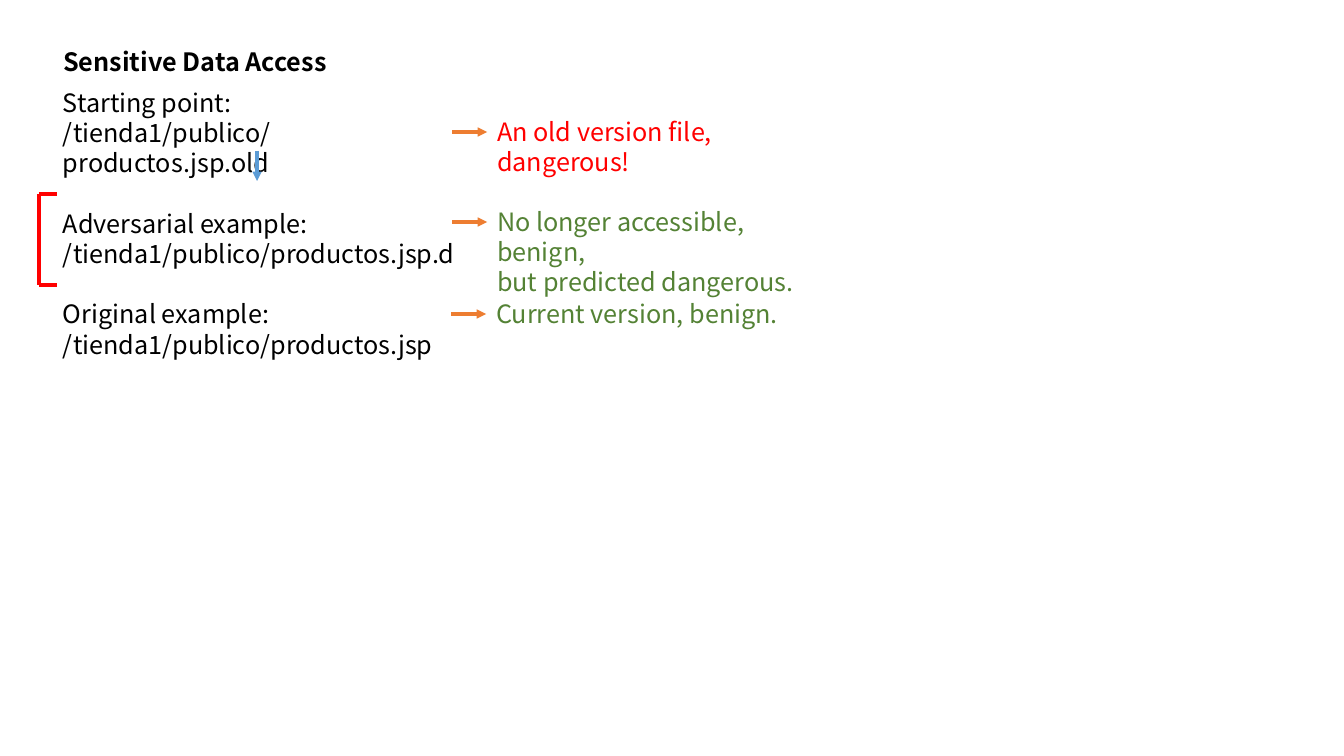
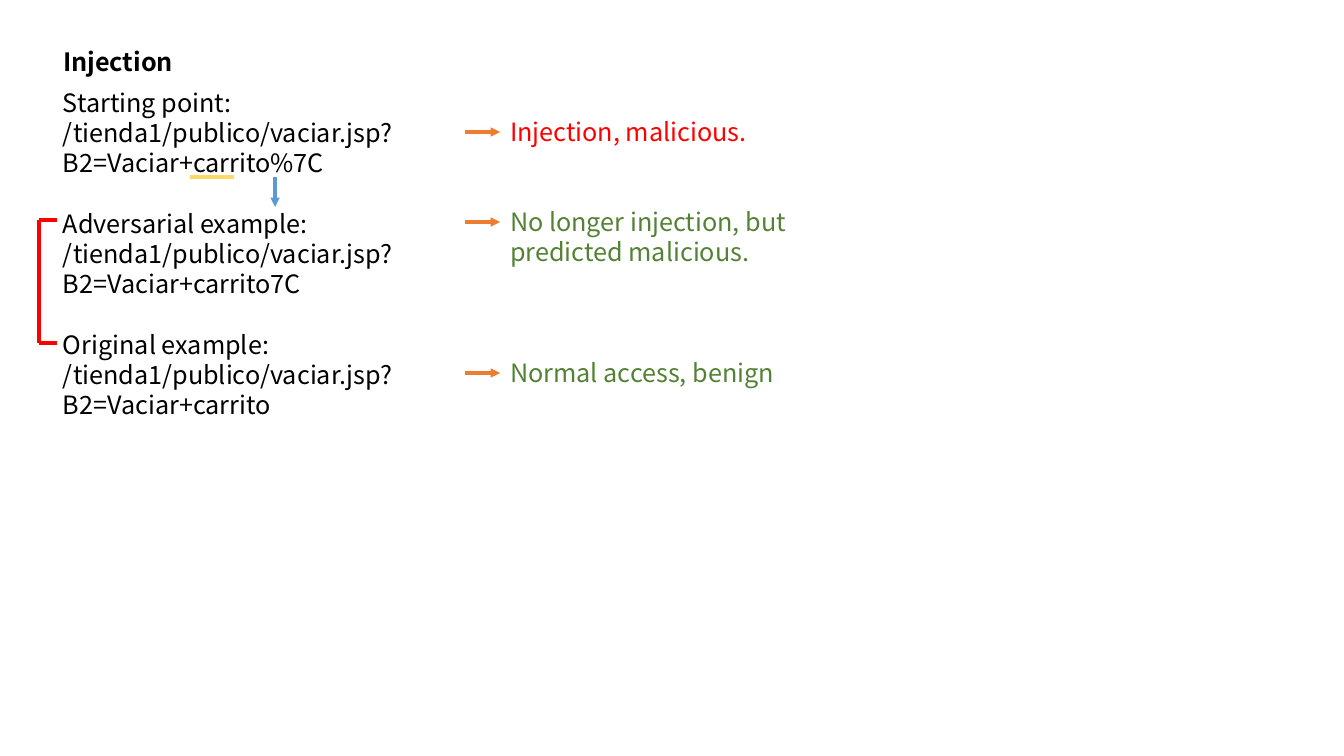
from lxml import etree
from pptx import Presentation
from pptx import util as u
from pptx.dml.color import RGBColor
from pptx.enum import shapes, text
from pptx.oxml.ns import qn

PIXEL = u.Inches(1) / 100.8
BLACK, RED, GREEN = "000000", "FF0000", "548235"
ORANGE, BLUE, YELLOW = "ED7D31", "5B9BD5", "FFD966"


def color(value):
    """Return the colour for a hex string."""
    return RGBColor.from_string(value)


def px(*lengths):
    """Turn pixels into EMU."""
    return [u.Emu(round(length * PIXEL)) for length in lengths]


class Deck:
    """Hold the shared style and the current slide."""

    font, size, line_height = "Noto Sans CJK SC", u.Pt(18), u.Pt(21.6)
    margin = 53

    def __init__(self):
        """Start a wide presentation."""
        self.presentation = Presentation()
        self.presentation.slide_width = u.Inches(13.33)
        self.presentation.slide_height = u.Inches(7.5)
        self.slide = None

    def set_text(self, shape, content, hue, bold=False):
        """Fill a shape with text in the shared style."""
        frame = shape.text_frame
        frame.text = content
        frame.word_wrap = True
        frame.auto_size = text.MSO_AUTO_SIZE.NONE
        frame.vertical_anchor = text.MSO_ANCHOR.TOP
        for paragraph in frame.paragraphs:
            paragraph.alignment = text.PP_ALIGN.LEFT
            paragraph.line_spacing = self.line_height
            paragraph.space_before = u.Pt(0)
            for run in paragraph.runs:
                run.font.name, run.font.size = self.font, self.size
                run.font.bold = bold
                run.font.color.rgb = color(hue)
        return frame

    def add_slide(self, title):
        """Add a slide with its title."""
        layout = self.presentation.slide_layouts[5]
        self.slide = self.presentation.slides.add_slide(layout)
        shape = self.slide.shapes.title
        shape.left, shape.top, shape.width, shape.height = px(self.margin, 41, 317, 40)
        self.set_text(shape, title, BLACK, bold=True)

    def text_box(self, left, top, width, height, content, hue):
        """Add a wrapped text box."""
        shape = self.slide.shapes.add_textbox(*px(left, top, width, height))
        return self.set_text(shape, content, hue)

    def examples(self, width, height, addresses):
        """List the labelled addresses, one line apart."""
        labels = ("Starting point:", "Adversarial example:", "Original example:")
        content = "\n".join(f"{label}\n{address}" for label, address in zip(labels, addresses))
        frame = self.text_box(self.margin, 82, width, height, content, BLACK)
        for paragraph in frame.paragraphs[2::2]:
            paragraph.space_before = self.line_height

    def line(self, start, end, hue, width=2.25, arrow=False):
        """Draw a straight line, with an arrowhead if asked."""
        connector = self.slide.shapes.add_connector(
            shapes.MSO_CONNECTOR.STRAIGHT, *px(*start, *end))
        connector.line.color.rgb = color(hue)
        connector.line.width = u.Pt(width)
        properties = connector._element.spPr
        if arrow:
            etree.SubElement(properties.find(qn("a:ln")), qn("a:tailEnd"), type="triangle")
        etree.SubElement(properties, qn("a:effectLst"))

    def verdict(self, left, middle, content, hue, lines=1):
        """Point an arrow at a coloured verdict."""
        self.line((left, middle), (left + 35, middle), ORANGE, arrow=True)
        self.text_box(left + 35, middle - 21, 348, 10 + 30 * lines, content, hue)

    def change(self, x, top):
        """Mark the changed character with a downward arrow."""
        self.line((x, top), (x, top + 30), BLUE, arrow=True)

    def bracket(self, top, bottom):
        """Join two examples with a bracket."""
        left, right = 39, 57
        for y in (top, bottom):
            self.line((left, y), (right, y), RED, width=3)
        self.line((left, top), (left, bottom), RED)


def build_data_access(deck):
    """Build the slide on sensitive data access."""
    deck.add_slide("Sensitive Data Access")
    page = "/tienda1/publico/productos.jsp"
    deck.examples(433, 254, (page + ".old", page + ".d", page))
    deck.verdict(452, 132, "An old version file, dangerous!", RED)
    deck.verdict(452, 222, "No longer accessible, benign,\nbut predicted dangerous.", GREEN, lines=2)
    deck.verdict(451, 314, "Current version, benign.", GREEN)
    deck.change(257, 151)
    deck.bracket(194, 285)


def build_injection(deck):
    """Build the slide on injection."""
    deck.add_slide("Injection")
    page = "/tienda1/publico/vaciar.jsp?B2=Vaciar+carrito"
    deck.examples(391, 346, (page + "%7C", page + "7C", page))
    deck.verdict(465, 132, "Injection, malicious.", RED)
    deck.verdict(465, 222, "No longer injection, but predicted malicious.", GREEN, lines=2)
    deck.verdict(465, 373, "Normal access, benign", GREEN)
    deck.change(275, 177)
    deck.bracket(220, 343)
    deck.line((190, 177), (234, 177), YELLOW, width=3)


deck = Deck()
build_data_access(deck)
build_injection(deck)
deck.presentation.save("out.pptx")
